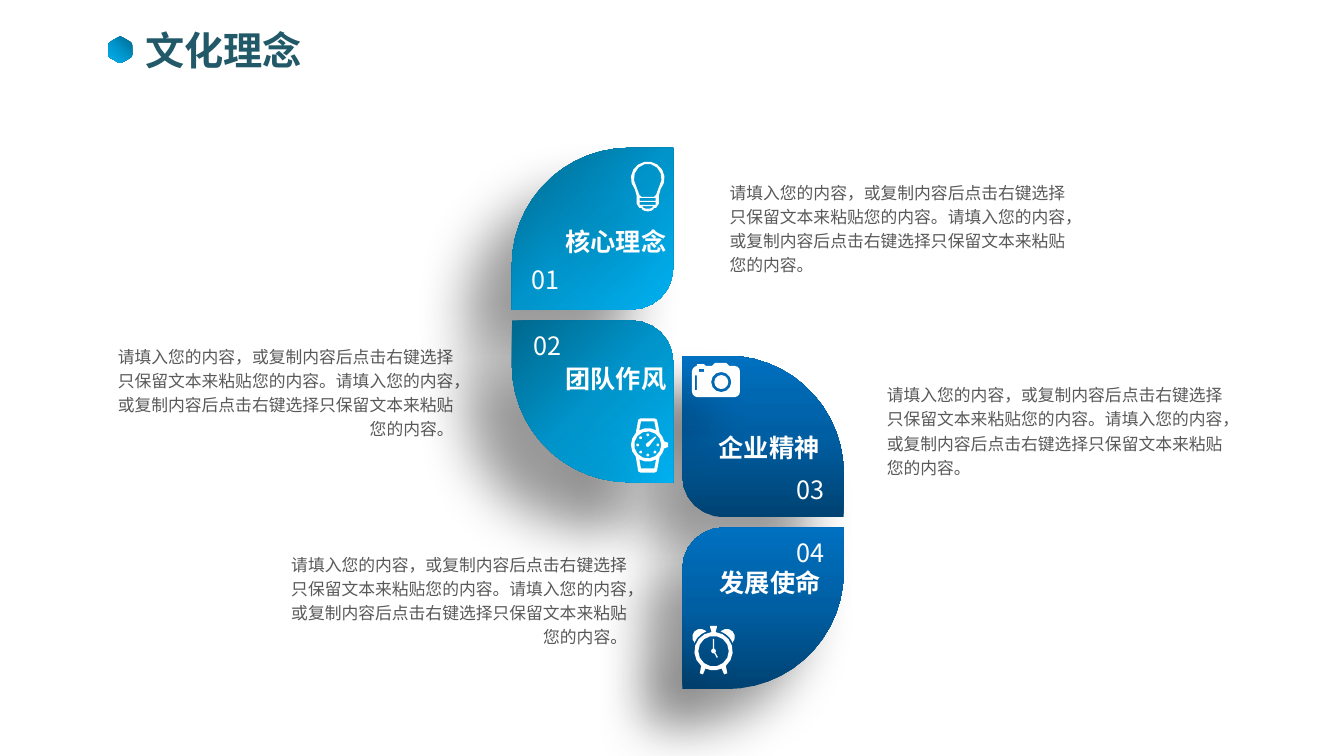
from math import ceil, cos, radians, sin

from lxml import etree
from pptx import Presentation
from pptx.dml.color import RGBColor
from pptx.enum.shapes import MSO_SHAPE
from pptx.enum.text import MSO_ANCHOR, PP_ALIGN
from pptx.oxml import parse_xml
from pptx.oxml.ns import nsdecls, qn
from pptx.util import Pt

ELLIPSE = MSO_SHAPE.OVAL
LEFT, CENTER, RIGHT = PP_ALIGN.LEFT, PP_ALIGN.CENTER, PP_ALIGN.RIGHT
TOP, MIDDLE = MSO_ANCHOR.TOP, MSO_ANCHOR.MIDDLE
FONT = "Noto Sans CJK SC"
WHITE = ["FFFFFF"]
CYAN = ["00688E", "0094CA", "00B0F0"]
NAVY = ["004272", "005EA2", "0070C0"]
BODY = ("请填入您的内容，或复制内容后点击右键选择只保留文本来粘贴您的内容。"
        "请填入您的内容，或复制内容后点击右键选择只保留文本来粘贴您的内容。")


def add_text(shapes, text, left, top, width, height, size=18, color="FFFFFF",
             bold=False, align=CENTER, anchor=MIDDLE, spacing=1.0):
    frame = shapes.add_textbox(Pt(left), Pt(top), Pt(width), Pt(height)).text_frame
    frame.word_wrap = True
    frame.vertical_anchor = anchor
    paragraph = frame.paragraphs[0]
    paragraph.alignment = align
    paragraph.line_spacing = spacing
    run = paragraph.add_run()
    run.text = text
    run.font.size, run.font.bold, run.font.name = Pt(size), bold, FONT
    run.font.color.rgb = RGBColor.from_string(color)
    east_asian = etree.Element(qn("a:ea"), typeface=FONT)
    run.font._element.find(qn("a:latin")).addnext(east_asian)


def paint(shape, colors, angle=0, shadow=None):
    """One colour fills solid, three make a gradient; shadow is (blur, distance)."""
    shape.line.fill.background()
    shape.shadow.inherit = False
    properties = shape._element.spPr
    if len(colors) == 1:
        shape.fill.solid()
        shape.fill.fore_color.rgb = RGBColor.from_string(colors[0])
    else:
        stops = "".join(f'<a:gs pos="{i * 50000}"><a:srgbClr val="{color}"/></a:gs>'
                        for i, color in enumerate(colors))
        properties.find(qn("a:ln")).addprevious(parse_xml(
            f'<a:gradFill {nsdecls("a")} rotWithShape="1"><a:gsLst>{stops}</a:gsLst>'
            f'<a:lin ang="{angle * 60000}" scaled="0"/></a:gradFill>'))
    if shadow:
        blur, distance = shadow
        properties.find(qn("a:effectLst")).append(parse_xml(
            f'<a:outerShdw {nsdecls("a")} blurRad="{Pt(blur)}" dist="{Pt(distance)}" '
            'dir="8100000" algn="tr" rotWithShape="0"><a:srgbClr val="000000">'
            '<a:alpha val="40000"/></a:srgbClr></a:outerShdw>'))


# Outlines: each contour mixes points (x, y) with
# arcs (center x, center y, radius x, radius y, start angle, end angle)
PETAL = [[(115.2, 0), (84, 84, 84, 84, 270, 180), (0, 115.6),
          (85.2, 86.6, 30, 29, 90, 0)]]
BULB = [
    [(12, 12, 12, 12, 140, 400), (20, 24), (20, 30), (18, 33),
     (12, 33, 4.5, 2.6, 0, 180), (6, 33), (4, 30), (4, 24)],
    [(12, 12, 9.9, 10.4, 145, 395), (18, 23.8), (16.6, 25.2), (7.5, 25.2), (6, 23.8)],
    [(6.2, 25.9), (17.6, 25.9), (17.6, 28.1), (6.2, 28.1)],
    [(6.2, 28.8), (17.6, 28.8), (17.6, 31), (6.2, 31)],
    [(12, 31.8, 4, 2, 0, 180)],
]
WATCH = [
    [(5.2, 1), (7, 0), (16.8, 0), (18.6, 1),
     (12, 19, 12, 12, -45, -12), (26.6, 17.5), (26.6, 20.5),
     (12, 19, 12, 12, 12, 45), (18.6, 37.9), (16.8, 38.9),
     (7, 38.9), (5.2, 37.9), (12, 19, 12, 12, 135, 225)],
    [(12, 19, 9.7, 9.7, 0, 360)],
    [(7.2, 2.2), (16.7, 2.2), (12, 19, 12, 12, 300, 240)],
    [(7.2, 35.8), (16.7, 35.8), (12, 19, 12, 12, 60, 120)],
    [(12, 19, 1.4, 1.4, 20, 250), (17.3, 13), (18, 13.5)],
]
WATCH_DOTS = [(12 + 7.2 * cos(radians(a)), 19 + 7.2 * sin(radians(a)), 1)
              for a in range(0, 315, 45)]
CAMERA = [
    [(4, 6.2, 4, 4, 180, 260), (3.8, 0.9), (8.5, 0.9), (9.8, 2.2), (14.2, 2.2),
     (16.6, 0), (24.5, 0), (26.6, 2.2), (30.3, 6.2, 4, 4, 270, 360),
     (30.3, 20.5, 4, 4, 0, 90), (4, 20.5, 4, 4, 90, 180)],
    [(20.9, 13.7, 7.2, 7.2, 0, 360)],
    [(2.1, 9), (3.6, 9), (3.6, 19.5), (2.1, 19.5)],
    [(5, 4.4), (8.6, 4.4), (8.6, 6.4), (5, 6.4)],
]
CLOCK = [
    [(15.2, 18, 13.7, 13.7, -84, 50), (25, 33.8), (22.8, 34.6),
     (15.2, 18, 13.7, 13.7, 65, 115), (7.6, 34.6), (5.4, 33.8),
     (15.2, 18, 13.7, 13.7, 130, 264), (12.8, 1), (12.8, 0), (17.6, 0), (17.6, 1)],
    [(15.2, 18, 10.9, 10.9, 0, 360)],
    [(5.8, 7.9, 5.8, 5.8, 135, 310), (15.2, 18, 15, 15, 250, 203)],
    [(24.6, 7.9, 5.8, 5.8, 45, -130), (15.2, 18, 15, 15, 290, 337)],
    [(14.8, 9.3), (15.6, 9.3), (15.2, 17.9, 1.7, 1.7, -75, 40), (18.3, 22.3),
     (17.5, 22.8), (15.2, 17.9, 1.7, 1.7, 70, 255)],
]
HEXAGON = [[(6.9 * cos(radians(a)), 6.9 * sin(radians(a)), 2.5, 2.5, a - 30, a + 30)
            for a in range(0, 360, 60)]]

presentation = Presentation()
presentation.slide_width, presentation.slide_height = Pt(960), Pt(540)
slide = presentation.slides.add_slide(presentation.slide_layouts[6])

# Title and descriptions
add_text(slide.shapes, "文化理念", 96.5, 15.1, 209.5, 41, size=28, color="215968",
         bold=True, align=LEFT, anchor=TOP)
for left, top, align in [(514.1, 123.8, LEFT), (77, 241.2, RIGHT),
                         (626.4, 268.6, LEFT), (200.9, 389.5, RIGHT)]:
    add_text(slide.shapes, BODY, left, top, 254.2, 77, size=12, color="595959",
             align=align, anchor=TOP, spacing=1.2)

# Petals: number, its place, label, its place and width, petal corner, mirroring,
# colours, angle, shadow, icon, its place, dots
petals = [
    ("03", 558, 331.9, "企业精神", 496.1, 306, 106.6, 487.5, 254, True, False,
     NAVY, 270, (36, 38), CAMERA, 494.3, 259.2, [(20.9, 13.7, 5)]),
    ("01", 368.6, 181.4, "核心理念", 372.2, 159.1, 135.4, 365.6, 105.6, False, False,
     CYAN, 45, (39, 45), BULB, 450.7, 115.4, []),
    ("04", 558, 376.6, "发展使命", 496.8, 402.5, 106.6, 487.5, 376.7, True, True,
     NAVY, 270, (36, 38), CLOCK, 494.5, 447.1, []),
    ("02", 370.1, 229, "团队作风", 372.2, 257, 135.4, 365.6, 228.9, False, True,
     CYAN, 45, (39, 45), WATCH, 450.7, 298.8, WATCH_DOTS),
]
# Every outline to draw: contours, place, mirroring, colours, angle, shadow, dots, texts
outlines = []
for (number, number_left, number_top, label, label_left, label_top, label_width,
     left, top, flip_x, flip_y, colors, angle, shadow,
     icon, icon_left, icon_top, dots) in petals:
    texts = [(number, number_left, number_top, 41.8, 36, False),
             (label, label_left, label_top, label_width, 26.6, True)]
    outlines += [
        (PETAL, left, top, flip_x, flip_y, colors, angle, shadow, [], []),
        (icon, icon_left, icon_top, False, False, WHITE, 0, shadow, dots, texts)]
outlines.append((HEXAGON, 85.9, 35.6, False, False, CYAN, 45, None, [], []))

for contours, left, top, flip_x, flip_y, colors, angle, shadow, dots, texts in outlines:
    builder = None
    for contour in contours:
        points = []
        for item in contour:
            if len(item) == 2:
                points.append(item)
                continue
            x, y, radius_x, radius_y, start, end = item
            # Larger and longer arcs get more steps
            steps = max(2, ceil(abs(end - start) / 360 * (8 + radius_x / 2)))
            for step in range(steps + 1):
                turn = radians(start + (end - start) * step / steps)
                points.append((x + radius_x * cos(turn), y + radius_y * sin(turn)))
        points = [(Pt(left + (115.2 - x if flip_x else x)),
                   Pt(top + (115.6 - y if flip_y else y))) for x, y in points]
        if builder is None:
            builder = slide.shapes.build_freeform(*points[0], scale=1.0)
        else:
            builder.move_to(*points[0])
        builder.add_line_segments(points[1:], close=True)
    shape = builder.convert_to_shape()
    paint(shape, colors, angle, shadow)
    if contours is HEXAGON:
        shape.rotation = 90
    for x, y, radius in dots:
        dot = slide.shapes.add_shape(ELLIPSE, Pt(left + x - radius), Pt(top + y - radius),
                                     Pt(2 * radius), Pt(2 * radius))
        paint(dot, colors, shadow=shadow)
    for text, text_left, text_top, width, height, bold in texts:
        add_text(slide.shapes, text, text_left, text_top, width, height, bold=bold)

presentation.save("out.pptx")
